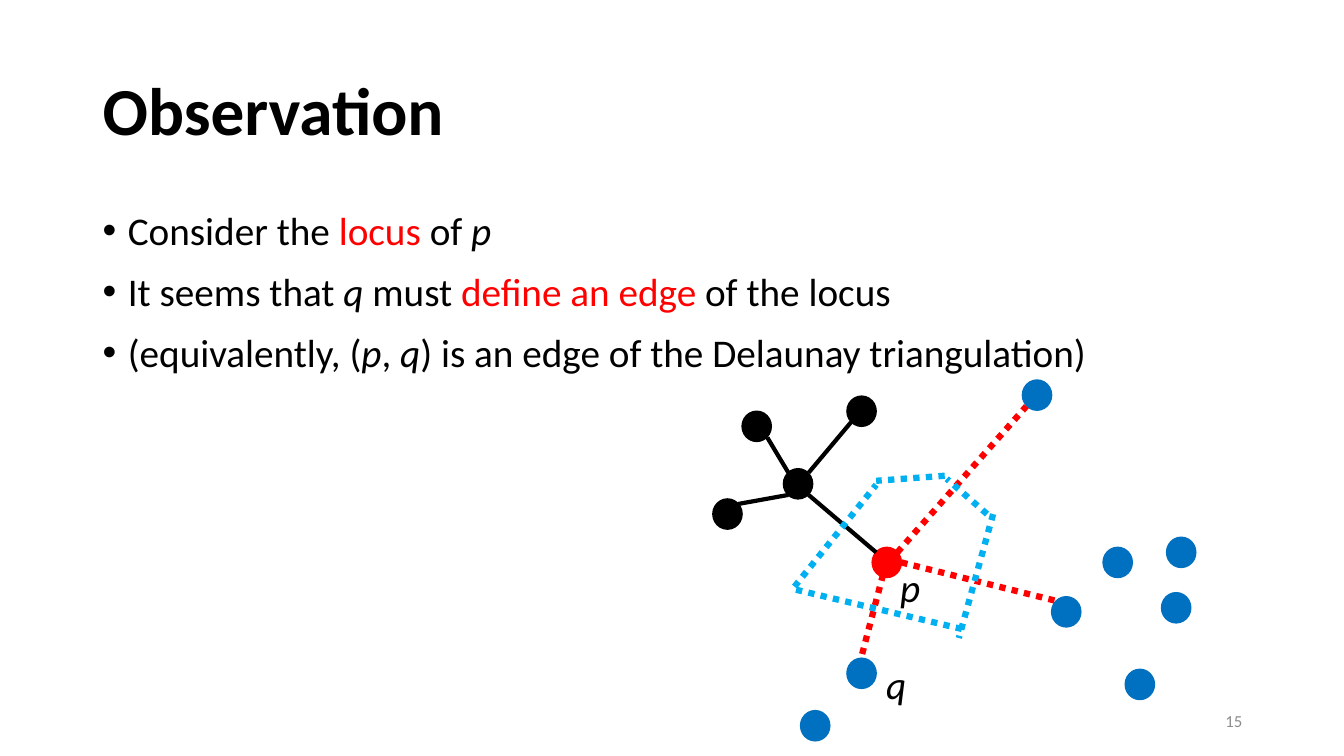
import pptx
import pptx.dml.color
import pptx.enum.shapes
import pptx.enum.text
import pptx.oxml
import pptx.oxml.ns
import pptx.util

PX = 9144  # 100 px to the inch
FONT = "Calibri"
COLORS = {
    "black": "000000",
    "red": "FF0000",
    "blue": "0070C0",
    "cyan": "00B0F0",
    "gray": "8C8C8C",
}
DOT_W, DOT_H = 29, 30
ANCHOR = pptx.enum.text.MSO_ANCHOR

BULLETS = [
    [("Consider the ", ""), ("locus", "red"), (" of ", ""), ("p", "italic")],
    [("It seems that ", ""), ("q", "italic"), (" must ", ""),
     ("define an edge ", "red"), ("of the locus", "")],
    [("(equivalently, (", ""), ("p", "italic"), (", ", ""), ("q", "italic"),
     (") is an edge of the Delaunay triangulation)", "")],
]

# Diagram coordinates are px from the corner of the diagram's box.
TREE_DOTS = [(77, 95), (36, 38), (7, 125), (140, 23)]
P_DOT = (165, 173)
OTHER_DOTS = [(314, 7), (457, 163), (140, 283), (343, 222),
              (94, 335), (394, 173), (416, 294), (452, 218)]
TREE_EDGES = [(144, 49, 102, 99), (61, 64, 82, 99),
              (82, 121, 32, 130), (169, 178, 102, 121)]
DELAUNAY_EDGES = [(194, 188, 347, 226), (179, 188, 154, 283), (190, 178, 318, 33)]
LOCUS_EDGES = [(254, 254, 85, 214), (88, 212, 169, 111), (237, 102, 169, 107),
               (279, 140, 239, 105), (285, 140, 251, 263)]
LABELS = [("p", 183, 184), ("q", 169, 280)]


def px(*lengths):
    return [pptx.util.Emu(n * PX) for n in lengths]


def rgb(name):
    return pptx.dml.color.RGBColor.from_string(COLORS[name])


def add_text_frame(s, box, anchor=ANCHOR.TOP):
    tf = s.shapes.add_textbox(*px(*box)).text_frame
    tf.word_wrap = True
    tf.vertical_anchor = anchor
    return tf


def add_run(p, text, size, color="black", bold=False, italic=False):
    r = p.add_run()
    r.text = text
    r.font.name = FONT
    r.font.size = pptx.util.Pt(size)
    r.font.bold = bold
    r.font.italic = italic
    r.font.color.rgb = rgb(color)


def add_bullet(p, indent):
    pPr = p._p.get_or_add_pPr()
    pPr.set("marL", str(indent * PX))
    pPr.set("indent", str(-indent * PX))
    ns = pptx.oxml.ns.nsdecls("a")
    pPr.append(pptx.oxml.parse_xml(f'<a:buFont {ns} typeface="Arial"/>'))
    pPr.append(pptx.oxml.parse_xml(f'<a:buChar {ns} char="•"/>'))


def add_title(s, box):
    p = add_text_frame(s, box, ANCHOR.MIDDLE).paragraphs[0]
    p.line_spacing = 0.9
    add_run(p, "Observation", 48, bold=True)


def add_bullets(s, box):
    tf = add_text_frame(s, box)
    for i, runs in enumerate(BULLETS):
        p = tf.add_paragraph() if i else tf.paragraphs[0]
        add_bullet(p, 25)
        if i:
            p.space_before = pptx.util.Pt(10)
        for text, style in runs:
            add_run(p, text, 28, "red" if style == "red" else "black",
                    italic=style == "italic")


def add_dot(s, x, y, color):
    sp = s.shapes.add_shape(pptx.enum.shapes.MSO_SHAPE.OVAL, *px(x, y, DOT_W, DOT_H))
    sp.shadow.inherit = False
    sp.fill.solid()
    sp.fill.fore_color.rgb = rgb(color)
    sp.line.color.rgb = rgb(color)
    sp.line.width = pptx.util.Pt(1)


def add_edge(s, ends, color, width, dotted):
    c = s.shapes.add_connector(pptx.enum.shapes.MSO_CONNECTOR.STRAIGHT, *px(*ends))
    c.line.color.rgb = rgb(color)
    c.line.width = pptx.util.Pt(width)
    spPr = c.element.spPr
    ns = pptx.oxml.ns.nsdecls("a")
    if dotted:
        ln = spPr.find(pptx.oxml.ns.qn("a:ln"))
        ln.append(pptx.oxml.parse_xml(f'<a:prstDash {ns} val="sysDot"/>'))
    spPr.append(pptx.oxml.parse_xml(f"<a:effectLst {ns}/>"))


def add_diagram(s, left, top):
    """Draw the tree, the other points, the Delaunay edges and the locus of p."""
    for dots, color in ((TREE_DOTS, "black"), ([P_DOT], "red"), (OTHER_DOTS, "blue")):
        for x, y in dots:
            add_dot(s, left + x, top + y, color)
    for edges, color, width, dotted in ((TREE_EDGES, "black", 3, False),
                                        (DELAUNAY_EDGES, "red", 4.5, True),
                                        (LOCUS_EDGES, "cyan", 4.5, True)):
        for x1, y1, x2, y2 in edges:
            ends = (left + x1, top + y1, left + x2, top + y2)
            add_edge(s, ends, color, width, dotted)
    for name, x, y in LABELS:
        tf = add_text_frame(s, (left + x, top + y, 39, 57))
        add_run(tf.paragraphs[0], name, 28, italic=True)


def add_slide_number(s, box):
    p = add_text_frame(s, box, ANCHOR.MIDDLE).paragraphs[0]
    p.alignment = pptx.enum.text.PP_ALIGN.RIGHT
    add_run(p, "15", 12, "gray")


def main():
    prs = pptx.Presentation()
    prs.slide_width, prs.slide_height = px(1333, 750)
    s = prs.slides.add_slide(prs.slide_layouts[6])
    add_title(s, (92, 40, 1150, 145))
    add_bullets(s, (92, 200, 1150, 476))
    add_diagram(s, 700, 370)
    add_slide_number(s, (942, 695, 300, 40))
    prs.save("out.pptx")


if __name__ == "__main__":
    main()
